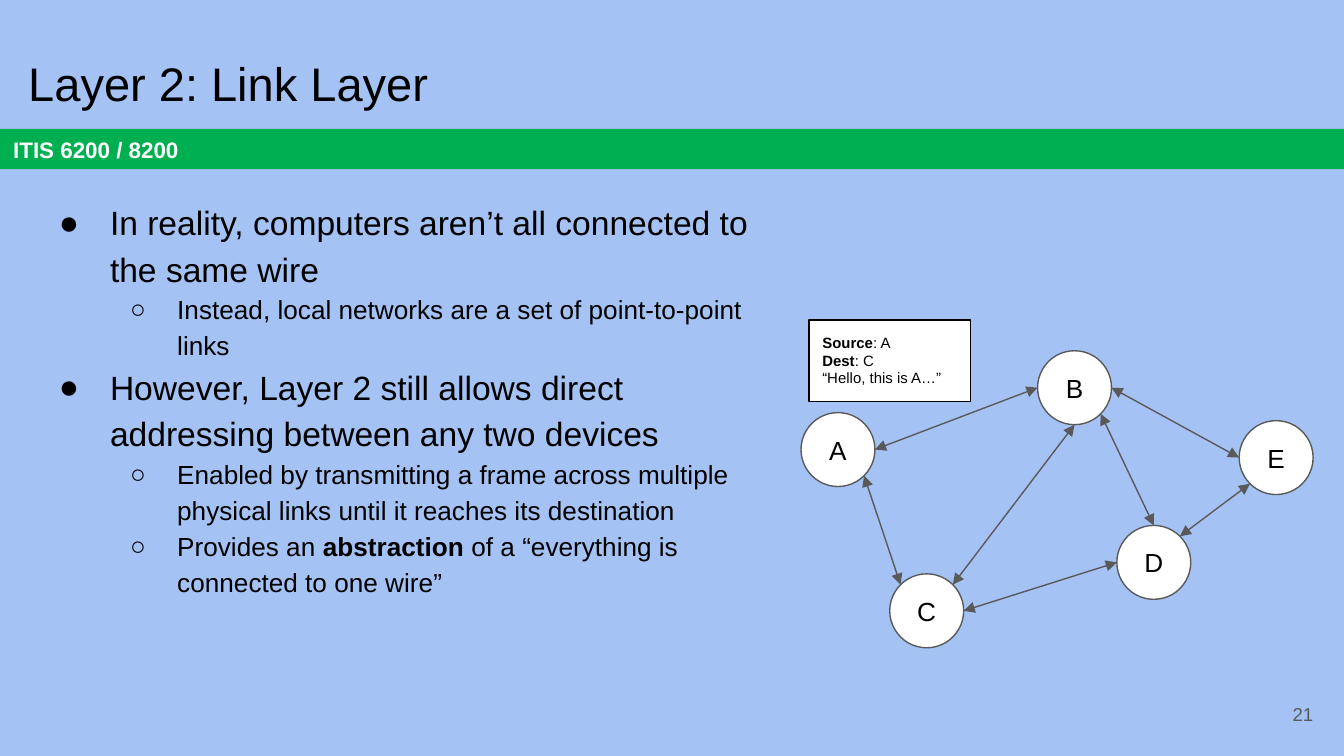
from math import sqrt

from lxml.etree import SubElement
from pptx import Presentation
from pptx.dml.color import RGBColor
from pptx.enum.shapes import MSO_CONNECTOR as Connector, MSO_SHAPE as Shape
from pptx.enum.text import MSO_ANCHOR as Anchor, PP_ALIGN as Align
from pptx.oxml.ns import qn
from pptx.util import Inches, Pt

BLACK = RGBColor(0x00, 0x00, 0x00)
WHITE = RGBColor(0xFF, 0xFF, 0xFF)
GRAY = RGBColor(0x59, 0x59, 0x59)
GREEN = RGBColor(0x00, 0xB0, 0x50)
SKY = RGBColor(0xA4, 0xC2, 0xF4)

TITLE = "Layer 2: Link Layer"
COURSE = "ITIS 6200 / 8200"
PAGE_NUMBER = "21"

# Each paragraph is a list of (text, bold) spans
BULLETS = [
    (0, [("In reality, computers aren’t all connected to the same wire", False)]),
    (1, [("Instead, local networks are a set of point-to-point links", False)]),
    (0, [("However, Layer 2 still allows direct addressing between any two devices", False)]),
    (1, [("Enabled by transmitting a frame across multiple physical links "
          "until it reaches its destination", False)]),
    (1, [("Provides an ", False), ("abstraction", True),
         (" of a “everything is connected to one wire”", False)]),
]
# level: (bullet, size, left margin, hanging indent)
LEVELS = {0: ("●", 18, 0.5, 0.38), 1: ("○", 14, 1, 0.35)}

FRAME = [
    [("Source", True), (": A", False)],
    [("Dest", True), (": C", False)],
    [("“Hello, this is A…”", False)],
]

NODE_SIZE = 0.55
NODES = {"A": (5.96, 3.07), "B": (7.72, 2.61), "C": (6.62, 4.27),
         "D": (8.31, 3.91), "E": (9.22, 3.13)}
LINKS = [
    ("A", "right", "B", "left"),
    ("A", "bottom right", "C", "top left"),
    ("C", "right", "D", "left"),
    ("B", "bottom", "C", "top right"),
    ("B", "bottom right", "D", "top"),
    ("B", "right", "E", "left"),
    ("D", "top right", "E", "bottom left"),
]
DIRECTIONS = {"left": (-1, 0), "right": (1, 0), "top": (0, -1), "bottom": (0, 1)}


def place(shape, left, top, width, height):
    shape.left, shape.top = Inches(left), Inches(top)
    shape.width, shape.height = Inches(width), Inches(height)


def write(shape, paragraphs, size=14, color=BLACK, align=Align.LEFT, anchor=Anchor.TOP):
    """Fill a shape with paragraphs of (text, bold) spans and return the paragraphs."""
    frame = shape.text_frame
    frame.word_wrap = True
    frame.vertical_anchor = anchor
    frame.margin_left = frame.margin_right = Inches(0.1)
    frame.margin_top = frame.margin_bottom = Inches(0.1)
    written = []
    for index, spans in enumerate(paragraphs):
        para = frame.add_paragraph() if index else frame.paragraphs[0]
        para.alignment = align
        para.space_before = para.space_after = Pt(0)
        for text, bold in spans:
            span = para.add_run()
            span.text = text
            span.font.name = "Arial"
            span.font.size = Pt(size)
            span.font.bold = bold
            span.font.color.rgb = color
        written.append(para)
    return written


def add_box(page, kind, left, top, width, height, fill, line=None):
    box = page.shapes.add_shape(
        kind, Inches(left), Inches(top), Inches(width), Inches(height))
    box.shadow.inherit = False
    box.fill.solid()
    box.fill.fore_color.rgb = fill
    if line is None:
        box.line.fill.background()
    else:
        box.line.color.rgb = line
        box.line.width = Pt(0.75)
    return box


def add_bullets(page):
    box = page.shapes.add_textbox(
        Inches(0.22), Inches(1.36), Inches(5.62), Inches(4.12))
    paragraphs = write(box, [spans for _, spans in BULLETS])
    for para, (level, _) in zip(paragraphs, BULLETS):
        symbol, size, margin, hanging = LEVELS[level]
        para.level = level
        para.line_spacing = 1.15
        properties = para._p.get_or_add_pPr()
        properties.set("marL", str(Inches(margin)))
        properties.set("indent", str(-Inches(hanging)))
        color = SubElement(properties, qn("a:buClr"))
        SubElement(color, qn("a:srgbClr"), val=str(BLACK))
        SubElement(properties, qn("a:buFont"), typeface="Arial")
        SubElement(properties, qn("a:buChar"), char=symbol)
        for span in para.runs:
            span.font.size = Pt(size)


def rim_point(node, side):
    """Return the point on a node's circle that faces the named side."""
    steps = [DIRECTIONS[word] for word in side.split()]
    reach = NODE_SIZE / 2 / sqrt(len(steps))
    return [Inches(corner + NODE_SIZE / 2 + reach * sum(parts))
            for corner, parts in zip(NODES[node], zip(*steps))]


def add_link(page, start, start_side, end, end_side):
    link = page.shapes.add_connector(
        Connector.STRAIGHT, *rim_point(start, start_side), *rim_point(end, end_side))
    link.line.color.rgb = GRAY
    link.line.width = Pt(0.75)
    outline = link.line._get_or_add_ln()
    for tip in ("a:headEnd", "a:tailEnd"):
        SubElement(outline, qn(tip), type="triangle")
    SubElement(link._element.spPr, qn("a:effectLst"))


def main():
    deck = Presentation()
    deck.slide_width = Inches(10)
    deck.slide_height = deck.slide_width * 9 // 16
    page = deck.slides.add_slide(deck.slide_layouts[5])
    page.background.fill.solid()
    page.background.fill.fore_color.rgb = SKY

    band = add_box(page, Shape.RECTANGLE, 0, 0.96, 10, 0.3, GREEN)
    write(band, [[(COURSE, True)]], size=12, color=WHITE, anchor=Anchor.MIDDLE)

    title = page.shapes.title
    place(title, 0.11, 0.3, 9.32, 0.63)
    write(title, [[(TITLE, False)]], size=25.2, anchor=Anchor.MIDDLE)

    add_bullets(page)

    frame = add_box(page, Shape.RECTANGLE, 6.02, 2.38, 1.2, 0.61, WHITE, BLACK)
    write(frame, FRAME, size=8)

    for name, (left, top) in NODES.items():
        node = add_box(page, Shape.OVAL, left, top, NODE_SIZE, NODE_SIZE, WHITE, GRAY)
        write(node, [[(name, False)]], align=Align.CENTER, anchor=Anchor.MIDDLE)
    for link in LINKS:
        add_link(page, *link)

    number = page.shapes.add_textbox(
        Inches(9.27), Inches(5.1), Inches(0.6), Inches(0.43))
    write(number, [[(PAGE_NUMBER, False)]], size=10, color=GRAY,
          align=Align.RIGHT, anchor=Anchor.MIDDLE)

    deck.save("out.pptx")


if __name__ == "__main__":
    main()
